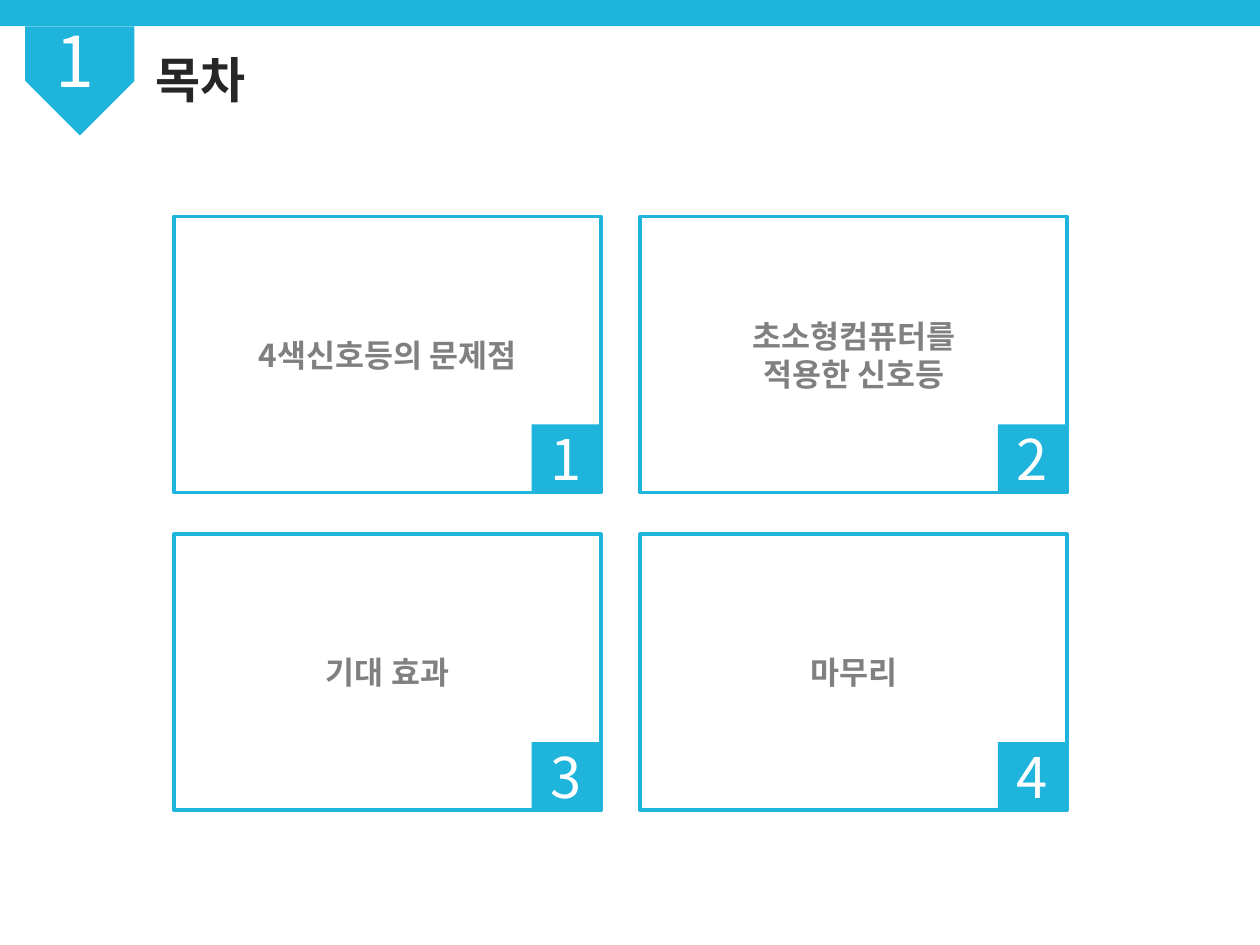
"""Build a contents slide with four numbered cards."""
import pptx
import pptx.dml.color
import pptx.enum.shapes
import pptx.enum.text
import pptx.oxml
import pptx.oxml.ns
import pptx.util
from dataclasses import dataclass

Pt = pptx.util.Pt
Kind = pptx.enum.shapes.MSO_SHAPE
Align = pptx.enum.text.PP_ALIGN
Anchor = pptx.enum.text.MSO_ANCHOR


@dataclass(frozen=True)
class Theme:
    face: str = "Noto Sans CJK KR"
    blue: str = "1EB4DC"
    dark: str = "262626"
    gray: str = "808080"
    white: str = "FFFFFF"
    mark: int = 40
    digit: int = 32
    title: int = 28
    label: int = 18
    line: int = 2


theme = Theme()


def write(shape, text, size, color, bold=False, center=True):
    frame = shape.text_frame
    frame.word_wrap = True
    frame.text = text
    frame.vertical_anchor = Anchor.MIDDLE if center else Anchor.TOP
    for para in frame.paragraphs:
        para.alignment = Align.CENTER if center else Align.LEFT
        for run in para.runs:
            font = run.font
            font.name = theme.face
            font.size = Pt(size)
            font.bold = bold
            font.color.rgb = pptx.dml.color.RGBColor.from_string(color)
            east = pptx.oxml.parse_xml(
                f'<a:ea {pptx.oxml.ns.nsdecls("a")} typeface="{theme.face}"/>')
            run.font._element.append(east)


def block(kind, left, top, width, height, solid=True):
    shape = slide.shapes.add_shape(kind, Pt(left), Pt(top), Pt(width), Pt(height))
    shape.shadow.inherit = False
    blue = pptx.dml.color.RGBColor.from_string(theme.blue)
    if solid:
        shape.fill.solid()
        shape.fill.fore_color.rgb = blue
        shape.line.fill.background()
    else:
        shape.fill.background()
        shape.line.color.rgb = blue
        shape.line.width = Pt(theme.line)
    return shape


deck = pptx.Presentation()
deck.slide_width, deck.slide_height = Pt(720), Pt(540)
slide = deck.slides.add_slide(deck.slide_layouts[6])

title = slide.shapes.add_textbox(Pt(82), Pt(24.5), Pt(504), Pt(53.3))
write(title, "목차", theme.title, theme.dark, bold=True, center=False)

block(Kind.RECTANGLE, 0, 0, 720, 15)
flag = block(Kind.SNIP_2_SAME_RECTANGLE, 14.4, 15, 62.4, 62.4)
flag.rotation = 180
flag.adjustments[0] = 0.5
flag.adjustments[1] = 0
mark = slide.shapes.add_textbox(Pt(24.5), Pt(6.5), Pt(49), Pt(55.4))
write(mark, "1", theme.mark, theme.white, center=False)

wide, high = 244, 157.7
side, tall = 39.6, 38.9
labels = ["4색신호등의 문제점", "초소형컴퓨터를\n적용한 신호등", "기대 효과", "마무리"]
for index, label in enumerate(labels):
    row, col = divmod(index, 2)
    left, top = 99.4 + col * 266.4, 123.8 + row * 181.5
    card = block(Kind.RECTANGLE, left, top, wide, high, solid=False)
    write(card, label, theme.label, theme.gray, bold=True)
    badge = block(Kind.RECTANGLE, left + wide - side, top + high - tall, side, tall)
    write(badge, str(index + 1), theme.digit, theme.white)

deck.save("out.pptx")
